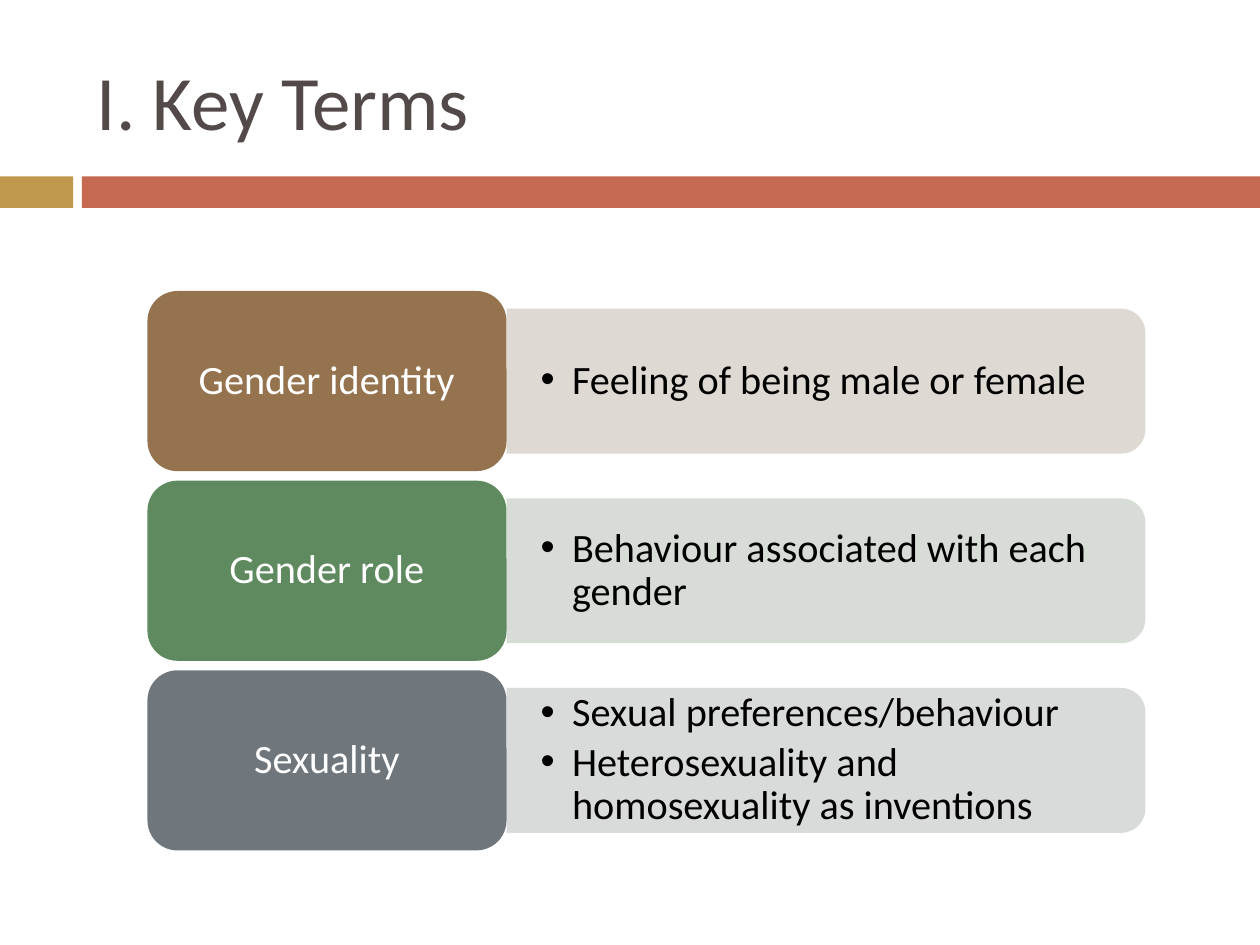
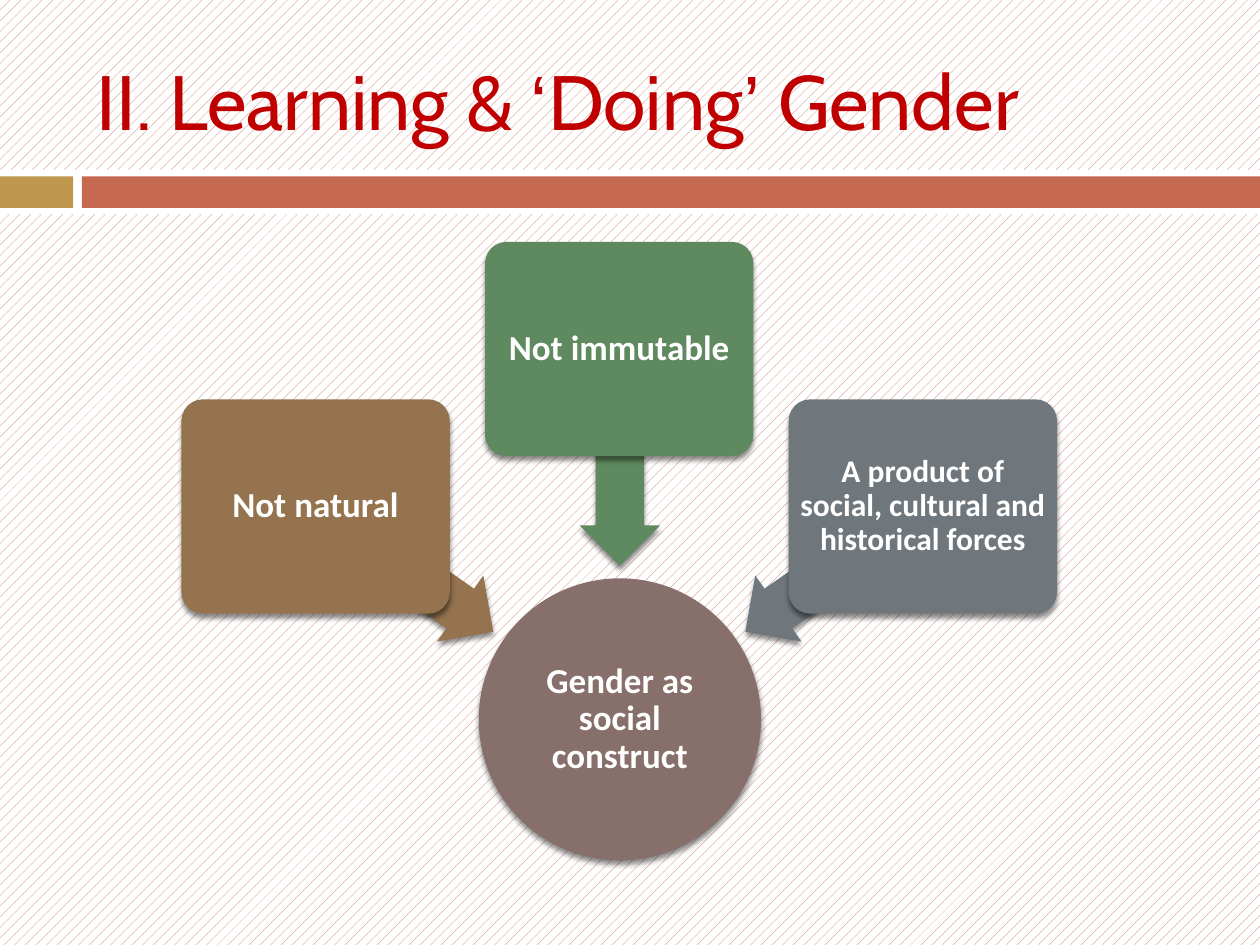
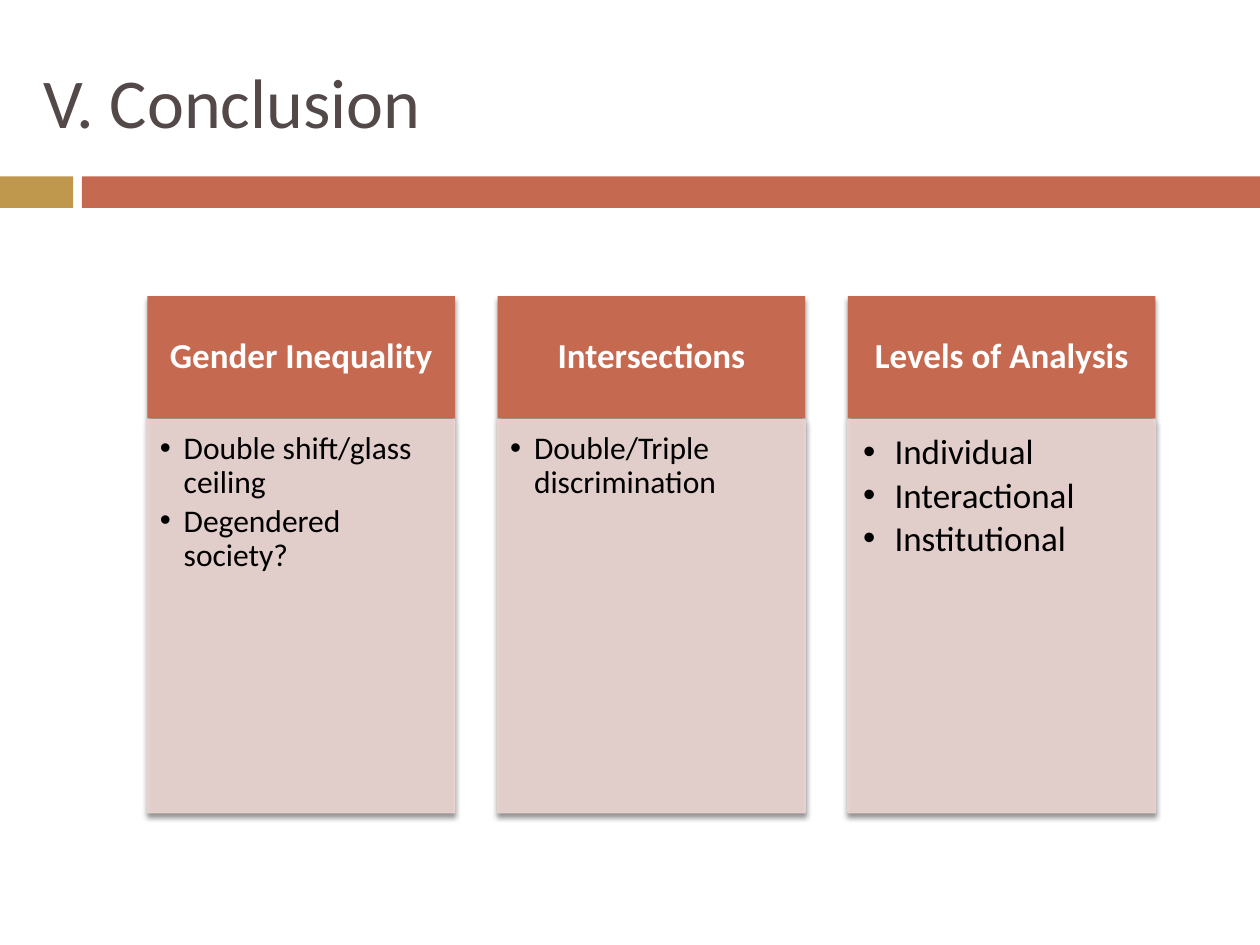
from lxml.etree import SubElement
from pptx import Presentation
from pptx.dml.color import RGBColor
from pptx.enum.dml import MSO_PATTERN
from pptx.enum.shapes import MSO_SHAPE as Kind
from pptx.enum.text import MSO_ANCHOR as Anchor, PP_ALIGN as Align
from pptx.oxml.ns import qn
from pptx.util import Inches, Pt

# Shared look
HEX = {
    "gold": "BF974D", "rust": "C66951", "white": "FFFFFF", "black": "000000",
    "title": "534949", "red": "C00000", "brown": "94734E", "green": "5F895E",
    "slate": "6F777D", "mauve": "87706B", "sand": "DCD5D0", "mint": "D3DAD2",
    "mist": "D5D6D7", "pink": "EAD4D0",
}
FONT = "Calibri"

# Slide 1: term, colour, panel colour, meanings
TERMS = [
    ("Gender identity", "brown", "sand", ["Feeling of being male or female"]),
    ("Gender role", "green", "mint", ["Behaviour associated with each gender"]),
    ("Sexuality", "slate", "mist",
     ["Sexual preferences/behaviour",
      "Heterosexuality and homosexuality as inventions"]),
]

# Slide 2: title runs with fonts; claim, colour, size, card top,
# arrow centre and turn
DOING = [("II. Learning & ", "Cabin"), ("‘", "Arial"), ("Doing", "Cabin"),
         ("’", "Arial"), (" Gender", "Cabin")]
HUB = "Gender as social construct"
CLAIMS = [
    ("Not natural", "brown", 20, 3.17, (3.21, 4.52), 215),
    ("Not immutable", "green", 20, 1.92, (4.92, 3.63), 270),
    ("A product of social, cultural and historical forces", "slate", 18, 3.17,
     (6.62, 4.52), 325),
]

# Slide 3: heading, points, size, indent, insets
THEMES = [
    ("Gender Inequality", ["Double shift/glass ceiling", "Degendered society?"],
     18, 0.19, (0.1, 0.1, 0.14, 0.16)),
    ("Intersections", ["Double/Triple discrimination"],
     18, 0.19, (0.1, 0.1, 0.14, 0.16)),
    ("Levels of Analysis", ["Individual", "Interactional", "Institutional"],
     20, 0.25, (0.12, 0.12, 0.16, 0.17)),
]


def color(name):
    return RGBColor.from_string(HEX[name])


def cast(shape):
    """Soft shadow straight below the shape."""
    glow = SubElement(shape._element.spPr.find(qn("a:effectLst")),
                      qn("a:outerShdw"), blurRad=str(Pt(3)), dist=str(Pt(2.4)),
                      dir="5400000", algn="ctr", rotWithShape="0")
    tone = SubElement(glow, qn("a:srgbClr"), val=HEX["black"])
    SubElement(tone, qn("a:alpha"), val="45000")


def draw(slide, kind, box, fill, adj=(), turn=0, line=None, clear=False,
         shade=False):
    shape = slide.shapes.add_shape(kind, *map(Inches, box))
    shape.fill.solid()
    shape.fill.fore_color.rgb = color(fill)
    if line:
        shape.line.color.rgb = color(line)
        shape.line.width = Pt(0.79)
    else:
        shape.line.fill.background()
    for i, val in enumerate(adj):
        shape.adjustments[i] = val
    shape.rotation = turn
    if clear:
        for tone in shape._element.spPr.iter(qn("a:srgbClr")):
            SubElement(tone, qn("a:alpha"), val="90000")
    shape.shadow.inherit = False
    if shade:
        cast(shape)
    return shape


def frame(shape, pad, anchor=Anchor.MIDDLE):
    body = shape.text_frame
    body.word_wrap = True
    body.vertical_anchor = anchor
    (body.margin_left, body.margin_top,
     body.margin_right, body.margin_bottom) = map(Inches, pad)
    return body


def add_run(para, text, size, tone, font=FONT, bold=False):
    run = para.add_run()
    run.text = text
    run.font.size = Pt(size)
    run.font.name = font
    run.font.bold = bold
    run.font.color.rgb = color(tone)


def label(shape, text, size, pad, bold=True):
    para = frame(shape, pad).paragraphs[0]
    para.alignment = Align.CENTER
    para.line_spacing = 0.9
    add_run(para, text, size, "white", bold=bold)


def points(shape, items, size, indent, pad, anchor):
    body = frame(shape, pad, anchor)
    for i, item in enumerate(items):
        para = body.add_paragraph() if i else body.paragraphs[0]
        para.alignment = Align.LEFT
        para.line_spacing = 0.9
        para.space_after = Pt(round(size * 0.15, 1))
        props = para._p.get_or_add_pPr()
        props.set("marL", str(Inches(indent)))
        props.set("indent", str(-Inches(indent)))
        SubElement(props, qn("a:buFont"), typeface="Arial")
        SubElement(props, qn("a:buChar"), char="•")
        add_run(para, item, size, "black")


def start(prs, runs, size=44, tone="title", box=(0.67, 0.25, 8.92, 1.08),
          hatch=False):
    """New slide with its background, band and title."""
    slide = prs.slides.add_slide(prs.slide_layouts[6])
    fill = slide.background.fill
    if hatch:
        fill.patterned()
        fill.pattern = MSO_PATTERN.PERCENT_20
        fill.fore_color.rgb = color("rust")
        fill.back_color.rgb = color("white")
        draw(slide, Kind.RECTANGLE, (0, 1.35, 10, 0.35), "white")
    else:
        fill.solid()
        fill.fore_color.rgb = color("white")
    draw(slide, Kind.RECTANGLE, (0, 1.4, 0.58, 0.25), "gold")
    draw(slide, Kind.RECTANGLE, (0.65, 1.4, 9.35, 0.25), "rust")
    head = slide.shapes.add_textbox(*map(Inches, box))
    para = frame(head, (0.1, 0.05, 0.1, 0.05)).paragraphs[0]
    for text, font in runs:
        add_run(para, text, size, tone, font)
    return slide


def terms(prs):
    slide = start(prs, [("I. Key Terms", FONT)])
    left, wide, high, step = 1.17, 2.85, 1.43, 1.505
    deep, long = 1.15, 5.07
    edge = left + wide
    for i, (term, tone, pale, items) in enumerate(TERMS):
        top = 2.31 + i * step
        mid = top + high / 2
        # The panel is upright before its quarter turn
        draw(slide, Kind.ROUND_2_SAME_RECTANGLE,
             (edge + (long - deep) / 2, mid - long / 2, deep, long), pale,
             turn=90, clear=True)
        note = slide.shapes.add_textbox(
            *map(Inches, (edge, mid - 0.515, 5.01, 1.03)))
        points(note, items, 23, 0.25, (0.27, 0.14, 0.27, 0.14), Anchor.MIDDLE)
        card = draw(slide, Kind.ROUNDED_RECTANGLE, (left, top, wide, high), tone)
        label(card, term, 23, (0.1, 0.05, 0.1, 0.05), bold=False)


def doing(prs):
    slide = start(prs, DOING, tone="red", hatch=True)
    hub = draw(slide, Kind.OVAL, (3.8, 4.59, 2.24, 2.24), "mauve", shade=True)
    label(hub, HUB, 20, [0.01] * 4)
    wide, high = 1.72, 0.64
    for i, (claim, tone, size, top, (x, y), turn) in enumerate(CLAIMS):
        draw(slide, Kind.LEFT_ARROW, (x - wide / 2, y - high / 2, wide, high),
             tone, adj=(0.6, 0.5), turn=turn, shade=True)
        card = draw(slide, Kind.ROUNDED_RECTANGLE,
                    (1.44 + i * 2.41, top, 2.13, 1.7), tone, adj=(0.1,),
                    shade=True)
        label(card, claim, size, [0.04] * 4)


def closing(prs):
    slide = start(prs, [("V. Conclusion", FONT)], size=40,
                  box=(0.25, 0.17, 9.5, 1.25))
    wide = 2.44
    for i, (theme, items, size, indent, pad) in enumerate(THEMES):
        left = 1.17 + i * 2.78
        head = draw(slide, Kind.RECTANGLE, (left, 2.35, wide, 0.97), "rust",
                    shade=True)
        label(head, theme, 20, (0.16, 0.09, 0.16, 0.09))
        body = draw(slide, Kind.RECTANGLE, (left, 3.33, wide, 3.12), "pink",
                    line="pink", clear=True, shade=True)
        points(body, items, size, indent, pad, Anchor.TOP)


def main():
    prs = Presentation()
    prs.slide_width, prs.slide_height = Inches(10), Inches(7.5)
    for build in (terms, doing, closing):
        build(prs)
    prs.save("out.pptx")


if __name__ == "__main__":
    main()
